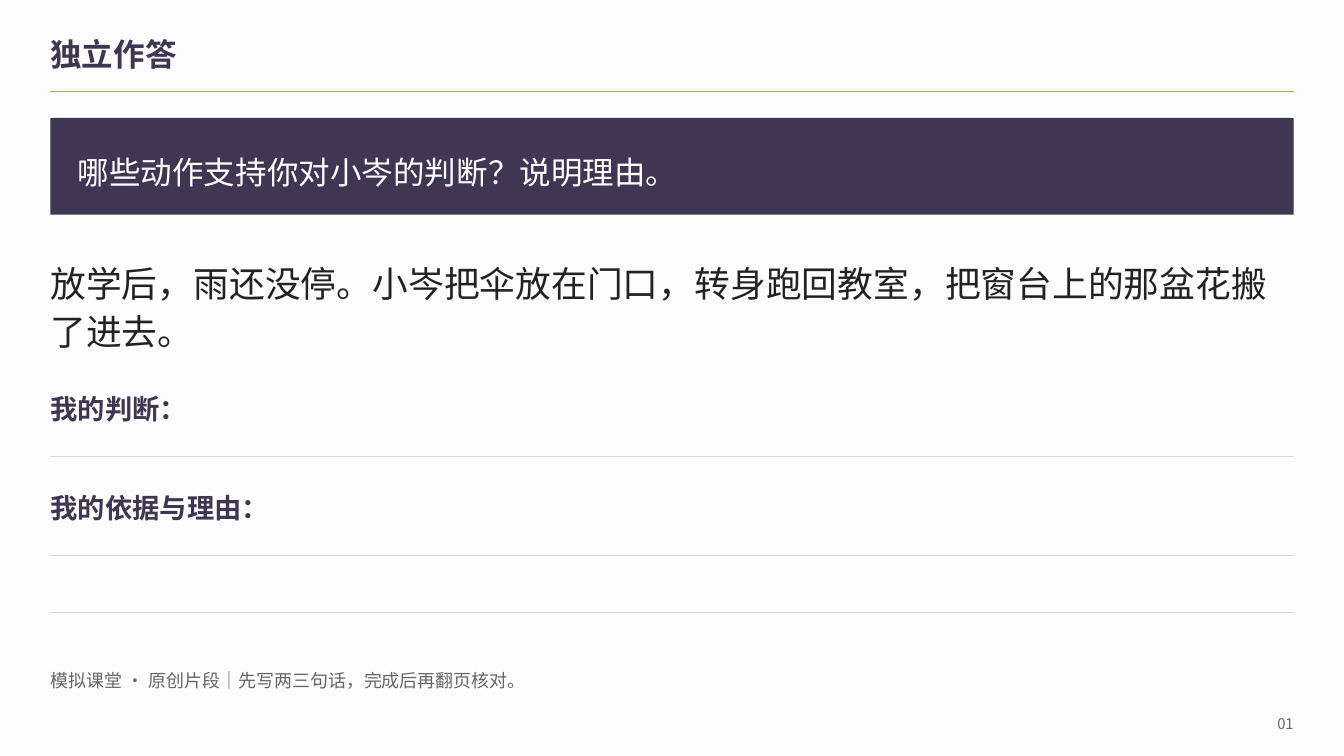
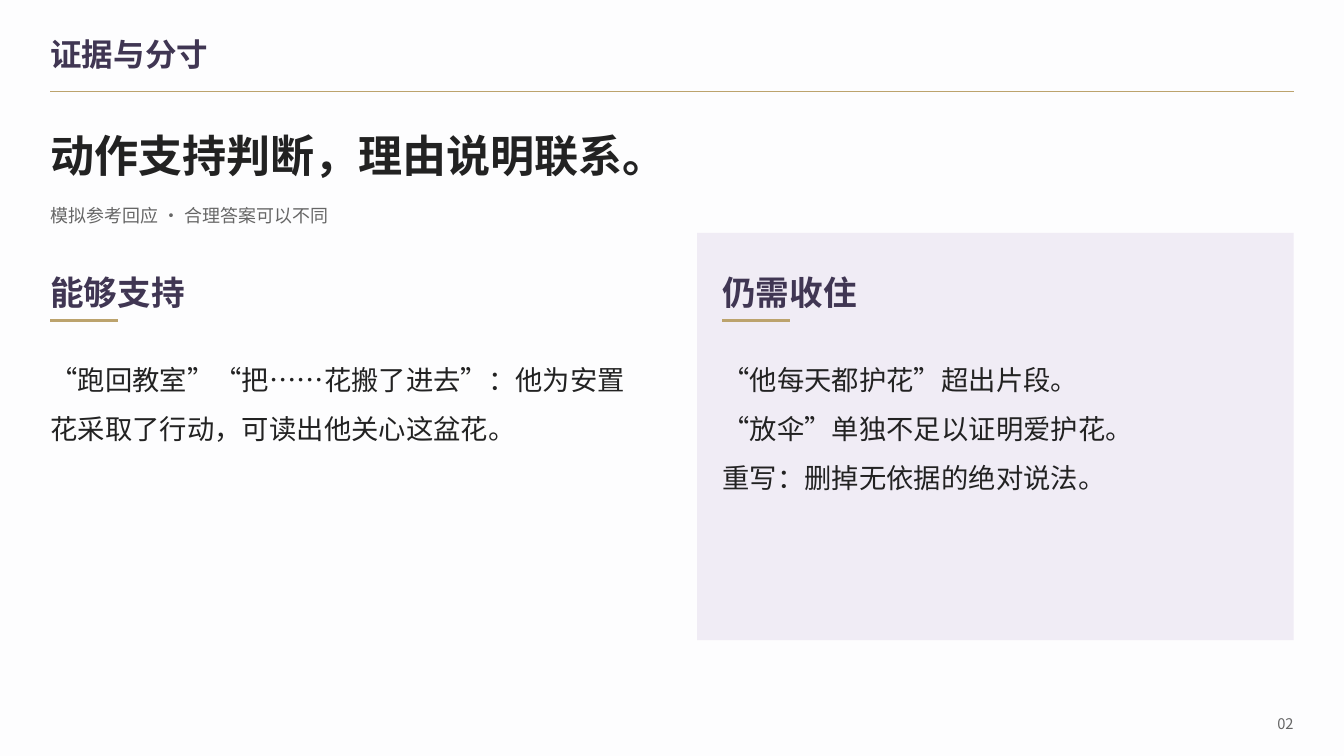
from lxml.etree import SubElement
from pptx import Presentation
from pptx.dml.color import RGBColor
from pptx.enum.shapes import MSO_CONNECTOR, MSO_SHAPE
from pptx.enum.text import MSO_ANCHOR, MSO_AUTO_SIZE, PP_ALIGN
from pptx.oxml.ns import qn
from pptx.util import Inches, Pt

# Content
QUESTION = "哪些动作支持你对小岑的判断？说明理由。"
PASSAGE = "放学后，雨还没停。小岑把伞放在门口，转身跑回教室，把窗台上的那盆花搬了进去。"
ANSWERS = [("我的判断：", 1), ("我的依据与理由：", 2)]  # prompt, writing lines
INSTRUCTION = "模拟课堂 · 原创片段｜先写两三句话，完成后再翻页核对。"
CLAIM = "动作支持判断，理由说明联系。"
CLAIM_NOTE = "模拟参考回应 · 合理答案可以不同"
COLUMNS = [
    ("能够支持", ["“跑回教室”“把……花搬了进去”：他为安置花采取了行动，可读出他关心这盆花。"]),
    ("仍需收住", ["“他每天都护花”超出片段。", "“放伞”单独不足以证明爱护花。",
              "重写：删掉无依据的绝对说法。"]),
]

# Shared style
FONT = "Noto Sans CJK SC"
PAPER, PLUM, GOLD, LILAC = "FDFDFE", "403653", "BCA36D", "F0ECF5"
INK, GREY, LINE, WHITE = "222222", "666666", "D8D8D8", "FFFFFF"
WIDTH, HEIGHT, MARGIN = 13.33, 7.5, 0.5
CONTENT = WIDTH - 2 * MARGIN
GUTTER, PAD = 0.5, 0.25
COLUMN = (CONTENT - GUTTER) / 2


def rgb(code):
    return RGBColor.from_string(code)


def write(shape, text, size, color=INK, bold=False, spacing=None,
          align=PP_ALIGN.LEFT, anchor=MSO_ANCHOR.TOP, inset=0):
    """Fill a shape with one paragraph, or one for each item of a list."""
    frame = shape.text_frame
    frame.word_wrap, frame.auto_size = True, MSO_AUTO_SIZE.NONE
    frame.vertical_anchor = anchor
    frame.margin_left = frame.margin_right = Inches(inset)
    frame.margin_top = frame.margin_bottom = 0
    for i, line in enumerate([text] if isinstance(text, str) else text):
        paragraph = frame.add_paragraph() if i else frame.paragraphs[0]
        paragraph.alignment = align
        if spacing:
            paragraph.line_spacing = spacing
        run = paragraph.add_run()
        run.text = line
        font = run.font
        font.name, font.size, font.bold = FONT, Pt(size), bold
        font.color.rgb = rgb(color)
        SubElement(run._r.get_or_add_rPr(), qn("a:ea"), typeface=FONT)


def add_text(slide, x, y, w, h, text, size, **style):
    box = slide.shapes.add_textbox(Inches(x), Inches(y), Inches(w), Inches(h))
    write(box, text, size, **style)


def add_panel(slide, x, y, w, h, color):
    panel = slide.shapes.add_shape(
        MSO_SHAPE.RECTANGLE, Inches(x), Inches(y), Inches(w), Inches(h))
    panel.shadow.inherit = False
    panel.fill.solid()
    panel.fill.fore_color.rgb = rgb(color)
    panel.line.fill.background()
    return panel


def add_rule(slide, x, y, w, color, weight=0.75):
    rule = slide.shapes.add_connector(
        MSO_CONNECTOR.STRAIGHT, Inches(x), Inches(y), Inches(x + w), Inches(y))
    rule.line.color.rgb = rgb(color)
    rule.line.width = Pt(weight)
    SubElement(rule._element.spPr, qn("a:effectLst"))


def add_slide(deck, title):
    """Start a slide with its title, gold rule and page number."""
    slide = deck.slides.add_slide(deck.slide_layouts[5])
    add_rule(slide, MARGIN, 0.905, CONTENT, GOLD, 1)
    heading = slide.shapes.title
    heading.left, heading.top = Inches(MARGIN), Inches(0.31)
    heading.width, heading.height = Inches(10.52), Inches(0.45)
    write(heading, title, 22.5, color=PLUM, bold=True, anchor=MSO_ANCHOR.MIDDLE)
    add_text(slide, WIDTH - MARGIN - 0.44, 7.05, 0.44, 0.25,
             f"{len(deck.slides):02d}", 10.5, color=GREY,
             align=PP_ALIGN.RIGHT, anchor=MSO_ANCHOR.MIDDLE)
    return slide


def build_exercise(deck):
    slide = add_slide(deck, "独立作答")
    band = add_panel(slide, MARGIN, 1.17, CONTENT, 0.96, PLUM)
    write(band, QUESTION, 22.5, color=WHITE, spacing=1.3,
          anchor=MSO_ANCHOR.MIDDLE, inset=0.27)
    add_text(slide, MARGIN, 2.54, CONTENT, 1.02, PASSAGE, 25.5, spacing=Pt(34.4))

    # Prompts, each followed by its writing lines
    top, line_gap = 3.85, 0.57
    for prompt, lines in ANSWERS:
        add_text(slide, MARGIN, top, CONTENT, 0.43, prompt, 19.5,
                 color=PLUM, bold=True, spacing=Pt(26.3))
        for i in range(lines):
            add_rule(slide, MARGIN, top + 0.68 + i * line_gap, CONTENT, LINE)
        top += 0.98
    add_text(slide, MARGIN, 6.62, CONTENT - 0.5, 0.3, INSTRUCTION, 12.8,
             color=GREY, spacing=Pt(17.2))


def build_review(deck):
    slide = add_slide(deck, "证据与分寸")
    add_text(slide, MARGIN, 1.17, CONTENT, 0.59, CLAIM, 31.5, bold=True, spacing=1.2)
    add_text(slide, MARGIN, 1.92, CONTENT, 0.33, CLAIM_NOTE, 12.8,
             color=GREY, spacing=1.5)

    # Two columns, the second on a tinted panel
    top = 2.56
    for i, (heading, points) in enumerate(COLUMNS):
        x, width = MARGIN + i * (COLUMN + GUTTER), COLUMN
        if i:
            add_panel(slide, x, top - PAD, width, 4.04, LILAC)
            x, width = x + PAD, width - 2 * PAD
        add_text(slide, x, top, width, 0.44, heading, 24,
                 color=PLUM, bold=True, spacing=1.35)
        add_rule(slide, x, top + 0.62, 0.67, GOLD, 1.5)
        add_text(slide, x, top + 0.88, width, 1.28, points, 19.5, spacing=1.5)


def main():
    deck = Presentation()
    deck.slide_width, deck.slide_height = Inches(WIDTH), Inches(HEIGHT)
    backdrop = deck.slide_master.background.fill
    backdrop.solid()
    backdrop.fore_color.rgb = rgb(PAPER)
    build_exercise(deck)
    build_review(deck)
    deck.save("out.pptx")


if __name__ == "__main__":
    main()
